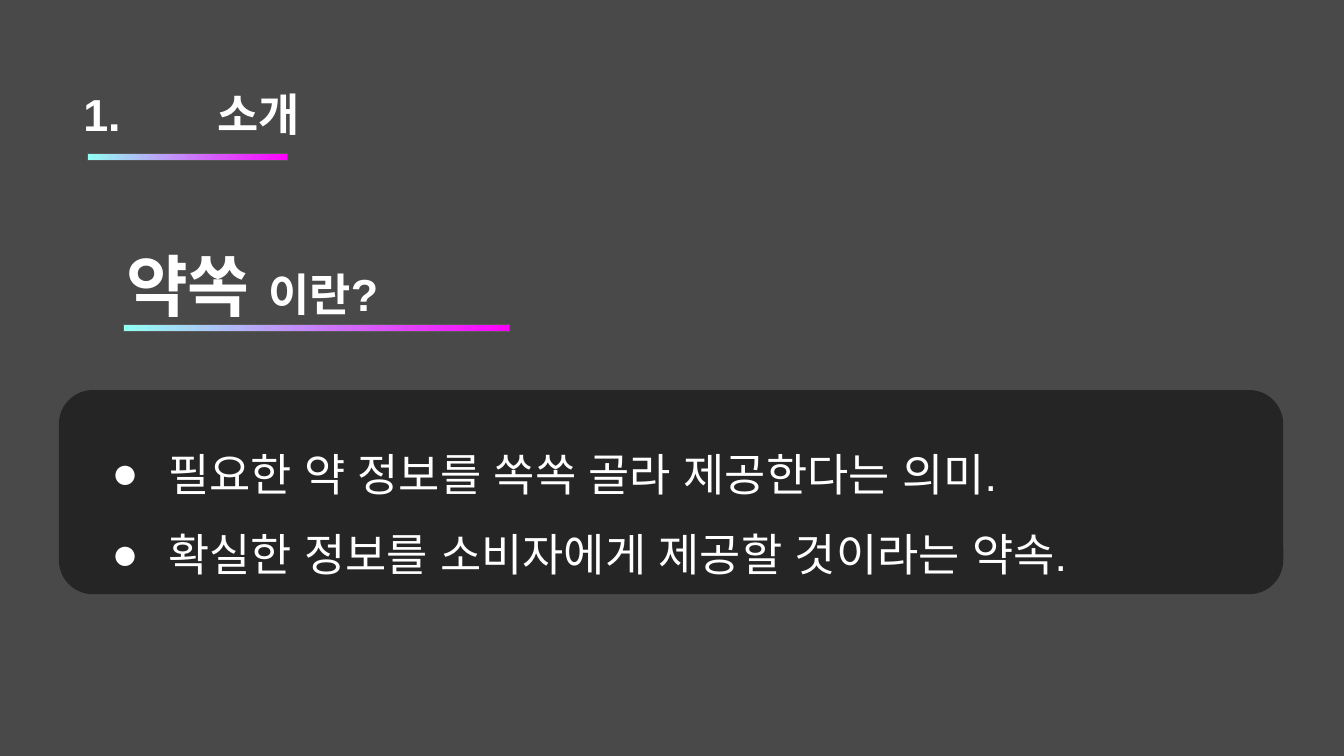
import dataclasses

import lxml.etree
import pptx
import pptx.dml.color
import pptx.enum.shapes
import pptx.enum.text
import pptx.oxml.ns
import pptx.util

SHAPE = pptx.enum.shapes.MSO_SHAPE
WIDTH = pptx.util.Inches(10)
HEIGHT = WIDTH * 9 // 16
FONT = "Arial"
WHITE, BACKDROP, CARD, EDGE = "FFFFFF", "494949", "252525", "595959"
GRADIENT = ("92FFF3", "FF00FF")


@dataclasses.dataclass(frozen=True)
class Box:
    """Shares of the slide's width and height, in percent."""
    left: float
    top: float
    width: float
    height: float

    def emu(self) -> dict:
        return {
            "left": int(WIDTH * self.left / 100),
            "top": int(HEIGHT * self.top / 100),
            "width": int(WIDTH * self.width / 100),
            "height": int(HEIGHT * self.height / 100),
        }


@dataclasses.dataclass(frozen=True)
class Piece:
    text: str
    size: int = 24
    bold: bool = True


PANELS = [
    (SHAPE.RECTANGLE, Box(0, 0, 100, 100), BACKDROP),
    (SHAPE.ROUNDED_RECTANGLE, Box(4.38, 51.6, 91.1, 27.02), CARD),
]
UNDERLINES = [Box(6.5, 20.33, 14.9, 0.89), Box(9.2, 42.95, 28.7, 0.89)]
SECTION = [[Piece("1.\t소개")]]
QUESTION = [[Piece("약쏙 ", 36), Piece("이란?")]]
MEANINGS = [
    [Piece("필요한 약 정보를 쏙쏙 골라 제공한다는 의미.", bold=False)],
    [Piece("확실한 정보를 소비자에게 제공할 것이라는 약속.", bold=False)],
]


def rgb(value: str) -> pptx.dml.color.RGBColor:
    return pptx.dml.color.RGBColor.from_string(value)


def apply(target, values: dict) -> None:
    for name, value in values.items():
        setattr(target, name, value)


def add_child(parent, tag: str, **attributes: str):
    return lxml.etree.SubElement(parent, pptx.oxml.ns.qn(tag), **attributes)


def add_panel(s, kind, box: Box, color: str):
    sp = s.shapes.add_shape(kind, **box.emu())
    sp.shadow.inherit = False
    sp.fill.solid()
    sp.fill.fore_color.rgb = rgb(color)
    sp.line.fill.background()
    return sp


def add_underline(s, box: Box) -> None:
    sp = add_panel(s, SHAPE.RECTANGLE, box, EDGE)
    sp.fill.gradient()
    sp.fill.gradient_angle = 0
    for stop, color in zip(sp.fill.gradient_stops, GRADIENT):
        stop.color.rgb = rgb(color)
    sp.line.color.rgb = rgb(EDGE)
    sp.line.width = pptx.util.Pt(0.75)


def add_bullet(p) -> None:
    pPr = p._p.get_or_add_pPr()
    for name, inches in {"marL": 0.5, "indent": -0.42}.items():
        pPr.set(name, str(pptx.util.Inches(inches)))
    add_child(add_child(pPr, "a:buClr"), "a:srgbClr", val=WHITE)
    add_child(pPr, "a:buFont", typeface=FONT)
    add_child(pPr, "a:buChar", char="●")


def add_tab(p) -> None:
    tabs = add_child(p._p.get_or_add_pPr(), "a:tabLst")
    add_child(tabs, "a:tab", pos=str(pptx.util.Inches(1)), algn="l")


def add_piece(p, piece: Piece) -> None:
    r = p.add_run()
    r.text = piece.text
    apply(r.font, {"name": FONT, "size": pptx.util.Pt(piece.size), "bold": piece.bold})
    for tag in ("a:ea", "a:cs"):
        add_child(r._r.get_or_add_rPr(), tag, typeface=FONT)
    r.font.color.rgb = rgb(WHITE)


def write(sp, box: Box, lines: list, spacing: float = 1.0, mark=None) -> None:
    apply(sp, box.emu())
    tf = sp.text_frame
    inset = pptx.util.Inches(0.1)
    apply(tf, {
        "word_wrap": True,
        "auto_size": pptx.enum.text.MSO_AUTO_SIZE.NONE,
        "vertical_anchor": pptx.enum.text.MSO_ANCHOR.TOP,
        "margin_left": inset, "margin_top": inset,
        "margin_right": inset, "margin_bottom": inset,
    })
    for i, pieces in enumerate(lines):
        p = tf.add_paragraph() if i else tf.paragraphs[0]
        apply(p, {
            "alignment": pptx.enum.text.PP_ALIGN.LEFT,
            "line_spacing": spacing,
            "space_before": pptx.util.Pt(0),
        })
        if mark:
            mark(p)
        for piece in pieces:
            add_piece(p, piece)


def main() -> None:
    prs = pptx.Presentation()
    apply(prs, {"slide_width": WIDTH, "slide_height": HEIGHT})
    s = prs.slides.add_slide(prs.slide_layouts[0])
    title, body = s.shapes.title, s.placeholders[1]

    add_panel(s, *PANELS[0])
    question_box = Box(8.4, 30.6, 30.3, 12.27)
    write(s.shapes.add_textbox(**question_box.emu()), question_box, QUESTION)
    add_panel(s, *PANELS[1])
    for sp in (body, title):
        s.shapes._spTree.append(sp._element)
    write(body, Box(6.5, 53.69, 81.3, 30.58), MEANINGS, 1.5, add_bullet)
    write(title, Box(5.2, 9.7, 21.4, 12.27), SECTION, mark=add_tab)
    for box in UNDERLINES:
        add_underline(s, box)
    prs.save("out.pptx")


if __name__ == "__main__":
    main()
